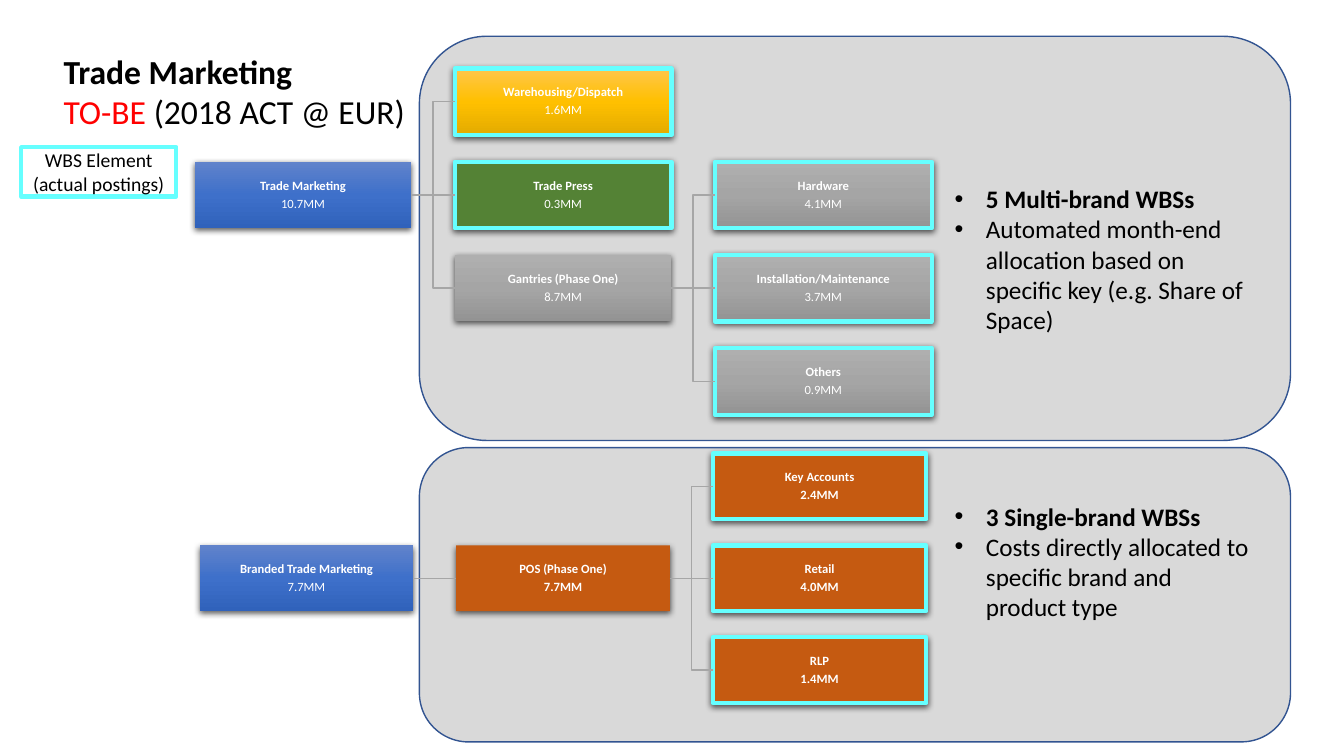
from collections import namedtuple

from pptx import Presentation
from pptx.dml.color import RGBColor
from pptx.enum.shapes import MSO_CONNECTOR as Connector, MSO_SHAPE as Shape
from pptx.enum.text import MSO_ANCHOR as Anchor, PP_ALIGN as Align
from pptx.oxml import parse_xml
from pptx.oxml.ns import nsdecls, qn
from pptx.util import Inches, Pt

FONT = "Calibri"
COLORS = {
    "panel": "D9D9D9", "panel_line": "325491", "link": "A6A6A6",
    "wbs": "66FFFF", "black": "000000", "white": "FFFFFF", "red": "FF0000",
}
# One colour is a solid fill; three run from top to bottom.
NODE_FILLS = {
    "blue": ["6183CB", "3E70CA", "3062BB"],
    "gold": ["FFC64B", "FFC000", "E3AB00"],
    "gray": ["AFAFAF", "A5A5A5", "939393"],
    "green": ["548235"],
    "orange": ["C55A11"],
}

Node = namedtuple("Node", "name amount column row fill is_wbs parent")

MULTI_BRAND = [
    Node("Trade Marketing", "10.7MM", 0, 1, "blue", False, None),
    Node("Warehousing/Dispatch", "1.6MM", 1, 0, "gold", True, "Trade Marketing"),
    Node("Trade Press", "0.3MM", 1, 1, "green", True, "Trade Marketing"),
    Node("Gantries (Phase One)", "8.7MM", 1, 2, "gray", False, "Trade Marketing"),
    Node("Hardware", "4.1MM", 2, 1, "gray", True, "Gantries (Phase One)"),
    Node("Installation/Maintenance", "3.7MM", 2, 2, "gray", True, "Gantries (Phase One)"),
    Node("Others", "0.9MM", 2, 3, "gray", True, "Gantries (Phase One)"),
]
SINGLE_BRAND = [
    Node("Branded Trade Marketing", "7.7MM", 0, 1, "blue", False, None),
    Node("POS (Phase One)", "7.7MM", 1, 1, "orange", False, "Branded Trade Marketing"),
    Node("Key Accounts", "2.4MM", 2, 0, "orange", True, "POS (Phase One)"),
    Node("Retail", "4.0MM", 2, 1, "orange", True, "POS (Phase One)"),
    Node("RLP", "1.4MM", 2, 2, "orange", True, "POS (Phase One)"),
]


def color(name):
    return RGBColor.from_string(COLORS[name])


def style_font(font, size, bold=False, color_name="black"):
    font.name = FONT
    font.size = Pt(size)
    font.bold = bold
    font.color.rgb = color(color_name)


def add_box(slide, preset, left, top, width, height):
    shape = slide.shapes.add_shape(
        preset, Inches(left), Inches(top), Inches(width), Inches(height))
    shape.shadow.inherit = False
    return shape


def set_outline(shape, color_name, width):
    shape.line.color.rgb = color(color_name)
    shape.line.width = Pt(width)


def fill_node(shape, shades):
    if len(shades) == 1:
        shape.fill.solid()
        shape.fill.fore_color.rgb = RGBColor.from_string(shades[0])
        return
    stops = "".join(
        f'<a:gs pos="{index * 50000}"><a:srgbClr val="{shade}"/></a:gs>'
        for index, shade in enumerate(shades))
    gradient = parse_xml(
        f'<a:gradFill {nsdecls("a")} rotWithShape="1"><a:gsLst>{stops}</a:gsLst>'
        '<a:lin ang="5400000" scaled="0"/></a:gradFill>')
    shape._element.spPr.find(qn("a:prstGeom")).addnext(gradient)


def add_drop_shadow(shape):
    shape._element.spPr.find(qn("a:effectLst")).append(parse_xml(
        f'<a:outerShdw {nsdecls("a")} blurRad="{Pt(4.5)}" dist="{Pt(1.5)}" '
        'dir="5400000" algn="ctr" rotWithShape="0"><a:srgbClr val="000000">'
        '<a:alpha val="63000"/></a:srgbClr></a:outerShdw>'))


def add_node(slide, node, left, top, width, height):
    shape = add_box(slide, Shape.RECTANGLE, left, top, width, height)
    fill_node(shape, NODE_FILLS[node.fill])
    if node.is_wbs:
        set_outline(shape, "wbs", 3)
    else:
        shape.line.fill.background()
    add_drop_shadow(shape)

    frame = shape.text_frame
    frame.text = f"{node.name}\n{node.amount}"
    frame.word_wrap = True
    frame.vertical_anchor = Anchor.MIDDLE
    frame.margin_left = frame.margin_right = Inches(0.01)
    frame.margin_top = frame.margin_bottom = Inches(0.01)
    for paragraph, bold in zip(frame.paragraphs, (True, node.fill == "orange")):
        paragraph.alignment = Align.CENTER
        paragraph.line_spacing = 0.9
        paragraph.space_after = Pt(3.15)
        style_font(paragraph.runs[0].font, 9, bold, "white")
    return shape


def add_link(slide, parent, child):
    """Join the parent's right side to the child's left side."""
    kind = Connector.STRAIGHT if parent.top == child.top else Connector.ELBOW
    link = slide.shapes.add_connector(kind, 0, 0, 0, 0)
    link.begin_connect(parent, 3)
    link.end_connect(child, 1)
    link.line.color.rgb = color("link")
    link.line.width = Pt(1)
    link._element.spPr.append(parse_xml(f'<a:effectLst {nsdecls("a")}/>'))


def add_tree(slide, nodes, left, top, node_width):
    """Place nodes on a grid whose proportions follow the node width."""
    node_height = 0.307 * node_width
    column_pitch, row_pitch = 1.2 * node_width, 0.43 * node_width
    placed = {}
    for node in nodes:
        placed[node.name] = add_node(
            slide, node, left + node.column * column_pitch,
            top + node.row * row_pitch, node_width, node_height)
        if node.parent:
            add_link(slide, placed[node.parent], placed[node.name])


def add_panel(slide, left, top, width, height):
    panel = add_box(slide, Shape.ROUNDED_RECTANGLE, left, top, width, height)
    panel.fill.solid()
    panel.fill.fore_color.rgb = color("panel")
    set_outline(panel, "panel_line", 1)


def add_notes_list(slide, lines, left, top, width, height):
    """Add bullets with the first one bold."""
    box = slide.shapes.add_textbox(
        Inches(left), Inches(top), Inches(width), Inches(height))
    box.text_frame.word_wrap = True
    box.text_frame.text = "\n".join(lines)
    for index, paragraph in enumerate(box.text_frame.paragraphs):
        properties = paragraph._p.get_or_add_pPr()
        properties.set("marL", str(Inches(0.31)))
        properties.set("indent", str(-Inches(0.31)))
        properties.append(parse_xml(f'<a:buFont {nsdecls("a")} typeface="Arial"/>'))
        properties.append(parse_xml(f'<a:buChar {nsdecls("a")} char="•"/>'))
        style_font(paragraph.runs[0].font, 18, bold=index == 0)


def format_title(slide, left, top, width, height):
    title = slide.shapes.title
    title.left, title.top = Inches(left), Inches(top)
    title.width, title.height = Inches(width), Inches(height)
    frame = title.text_frame
    frame.vertical_anchor = Anchor.TOP
    frame.text = "Trade Marketing\nTO-BE"
    heading, subtitle = frame.paragraphs
    subtitle.add_run().text = " (2018 ACT @ EUR)"
    heading.alignment = subtitle.alignment = Align.LEFT
    style_font(heading.runs[0].font, 24, bold=True)
    style_font(subtitle.runs[0].font, 24, color_name="red")
    style_font(subtitle.runs[1].font, 24)


def add_legend(slide, left, top, width, height):
    legend = add_box(slide, Shape.RECTANGLE, left, top, width, height)
    legend.fill.background()
    set_outline(legend, "wbs", 3)
    frame = legend.text_frame
    frame.word_wrap = True
    frame.vertical_anchor = Anchor.MIDDLE
    frame.text = "WBS Element (actual postings)"
    frame.paragraphs[0].alignment = Align.CENTER
    style_font(frame.paragraphs[0].runs[0].font, 14)


def main():
    presentation = Presentation()
    presentation.slide_width, presentation.slide_height = Inches(13.33), Inches(7.5)
    slide = presentation.slides.add_slide(presentation.slide_layouts[5])

    add_panel(slide, 4.16, 0.36, 8.64, 4.01)
    add_panel(slide, 4.16, 4.44, 8.64, 2.92)
    add_tree(slide, MULTI_BRAND, 1.93, 0.68, 2.15)
    format_title(slide, 0.53, 0.45, 5.2, 0.91)
    add_notes_list(slide, [
        "5 Multi-brand WBSs",
        "Automated month-end allocation based on specific key (e.g. Share of Space)",
    ], 9.37, 1.77, 3.19, 1.62)
    add_notes_list(slide, [
        "3 Single-brand WBSs",
        "Costs directly allocated to specific brand and product type",
    ], 9.37, 4.92, 3.19, 1.31)
    add_tree(slide, SINGLE_BRAND, 1.98, 4.5, 2.12)
    add_legend(slide, 0.21, 1.46, 1.54, 0.49)
    presentation.save("out.pptx")


if __name__ == "__main__":
    main()
